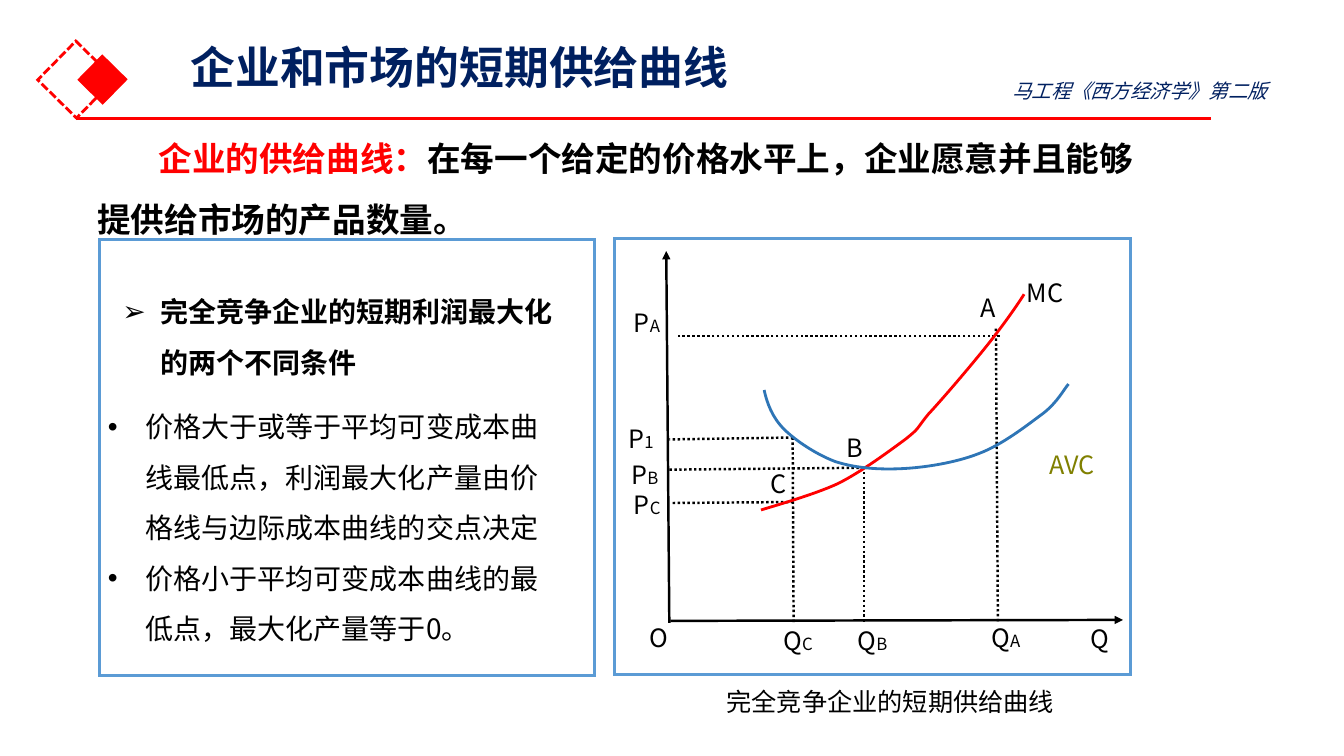
"""Build the slide on short-run supply curves of the firm and the market."""
from dataclasses import dataclass
from typing import Optional

from lxml import etree
from pptx import Presentation
from pptx import slide as s
from pptx import util as u
from pptx.dml import color, line
from pptx.enum import dml, shapes, text
from pptx.oxml import ns
from pptx.shapes import autoshape
from pptx.text import text as t

FONT = "Noto Sans CJK SC"
RED, NAVY, BLACK, OLIVE = "FF0000", "002060", "000000", "808000"
FRAME_BLUE, AVC_BLUE = "5B9BD5", "2E75B6"
Point = tuple[float, float]
Box = tuple[float, float, float, float]


@dataclass
class Words:
    content: str
    size: float = 18
    tint: str = BLACK
    bold: bool = False
    italic: bool = False


@dataclass
class Label:
    left: float
    top: float
    width: float
    height: float
    symbol: str
    subscript: str = ""
    tint: str = BLACK


@dataclass
class Rule:
    start: Point
    end: Point
    tint: str = BLACK
    weight: float = 1.75
    dotted: bool = False
    arrow: bool = False


@dataclass
class Curve:
    tint: str
    knots: list[Point]


@dataclass
class Frame:
    box: Box
    tint: str
    weight: float
    angle: float = 0
    fill: Optional[str] = None
    dashed: bool = False


def rgb(code: str) -> color.RGBColor:
    return color.RGBColor.from_string(code)


def points(values: tuple[float, ...]) -> list[int]:
    return [u.Pt(value) for value in values]


def child(parent: etree._Element, tag: str, **attributes: str) -> None:
    etree.SubElement(parent, ns.qn(tag), attributes)


def write(paragraph: t._Paragraph, *parts: Words) -> None:
    for part in parts:
        run = paragraph.add_run()
        run.text = part.content
        font = run.font
        font.size, font.bold, font.italic = u.Pt(part.size), part.bold, part.italic
        font.color.rgb = rgb(part.tint)
        font.name = FONT
        child(run._r.rPr, "a:ea", typeface=FONT)


def place(holder: autoshape.Shape, box: Box) -> t.TextFrame:
    holder.left, holder.top, holder.width, holder.height = points(box)
    frame = holder.text_frame
    frame.auto_size = text.MSO_AUTO_SIZE.NONE
    frame.word_wrap = True
    return frame


def add_words(page: s.Slide, box: Box, *parts: Words, wrap: bool = False) -> t.TextFrame:
    frame = page.shapes.add_textbox(*points(box)).text_frame
    frame.word_wrap = wrap
    write(frame.paragraphs[0], *parts)
    return frame


def fill_list(holder: autoshape.Shape, box: Box, bullet: str, items: list[Words]) -> None:
    frame = place(holder, box)
    for index, item in enumerate(items):
        paragraph = frame.add_paragraph() if index else frame.paragraphs[0]
        properties = paragraph._p.get_or_add_pPr()
        properties.set("marL", str(u.Pt(27)))
        properties.set("indent", str(u.Pt(-27)))
        child(properties, "a:buFont", typeface="Arial")
        child(properties, "a:buChar", char=bullet)
        paragraph.line_spacing, paragraph.space_before = 1.5, u.Pt(0)
        write(paragraph, item)


def add_label(page: s.Slide, label: Label) -> None:
    parts = [Words(label.symbol, tint=label.tint)]
    if label.subscript:
        parts.append(Words(label.subscript, 12, label.tint))
    box = (label.left, label.top, label.width, label.height)
    add_words(page, box, *parts).vertical_anchor = text.MSO_ANCHOR.MIDDLE


def style_line(stroke: line.LineFormat, tint: str, weight: float) -> None:
    stroke.color.rgb = rgb(tint)
    stroke.width = u.Pt(weight)


def add_rule(page: s.Slide, rule: Rule) -> None:
    connector = page.shapes.add_connector(
        shapes.MSO_CONNECTOR.STRAIGHT, *points(rule.start + rule.end))
    style_line(connector.line, rule.tint, rule.weight)
    if rule.dotted:
        connector.line.dash_style = dml.MSO_LINE.ROUND_DOT
    properties = connector._element.spPr
    if rule.arrow:
        child(properties.find(ns.qn("a:ln")), "a:tailEnd", type="triangle")
    child(properties, "a:effectLst")


def add_frame(page: s.Slide, frame: Frame) -> None:
    shape = page.shapes.add_shape(shapes.MSO_SHAPE.RECTANGLE, *points(frame.box))
    shape.rotation = frame.angle
    shape.shadow.inherit = False
    if frame.fill:
        shape.fill.solid()
        shape.fill.fore_color.rgb = rgb(frame.fill)
    else:
        shape.fill.background()
    style_line(shape.line, frame.tint, frame.weight)
    if frame.dashed:
        shape.line.dash_style = dml.MSO_LINE.SQUARE_DOT
    child(shape._element.spPr.find(ns.qn("a:ln")), "a:miter", lim="800000")


def add_curve(page: s.Slide, curve: Curve) -> None:
    builder = page.shapes.build_freeform(*points(curve.knots[0]))
    builder.add_line_segments([points(knot) for knot in curve.knots[1:]], close=False)
    shape = builder.convert_to_shape()
    segments = list(shape._element.iter(ns.qn("a:lnTo")))
    for first in range(0, len(segments), 3):
        bend = etree.Element(ns.qn("a:cubicBezTo"))
        segments[first].addprevious(bend)
        for segment in segments[first:first + 3]:
            bend.append(segment[0])
            segment.getparent().remove(segment)
    shape.shadow.inherit = False
    shape.fill.background()
    style_line(shape.line, curve.tint, 2)


FRAMES = [
    Frame((35, 37.4, 38.9, 38.9), RED, 2, 314.5, dashed=True),
    Frame((61, 44.6, 24.5, 24.5), RED, 1, 314.5, fill=RED),
    Frame((71.3, 171.2, 353.5, 311.5), FRAME_BLUE, 2.25),
    Frame((439.2, 170.3, 368.6, 311.5), FRAME_BLUE, 2.25),
]
GUIDES = [
    ((711.4, 234.7), (712.8, 445)), ((617, 337), (617, 444.2)),
    ((714.2, 240), (482.4, 240)), ((617, 334.1), (478.1, 335.5)),
    ((566.2, 312.5), (566.9, 445)), ((566.6, 312.5), (478.1, 313.9)),
    ((566.6, 358.6), (479.5, 359.3)),
]
RULES = [
    Rule((54.3, 84.5), (864.7, 84.5), RED, 2.25),
    Rule((478.1, 445), (475.9, 179.3), arrow=True),
    Rule((478.8, 443.5), (802.1, 442.8), arrow=True),
    *(Rule(start, end, dotted=True) for start, end in GUIDES),
]
CURVES = [
    Curve(RED, [
        (543.6, 364.3), (553, 361.4), (581, 353.5), (598.3, 345.6),
        (615.6, 337), (635.8, 321.8), (646.6, 313.9), (657.4, 305.3),
        (653.8, 307.4), (663.1, 295.9), (673.2, 285.1), (693.4, 261.4),
        (704.9, 247), (716.4, 232.6), (726.5, 218.2), (731.5, 210.2)]),
    Curve(AVC_BLUE, [
        (545.8, 278.6), (547.9, 288), (551.5, 298.1), (560.2, 306.7),
        (568.1, 314.6), (583.2, 324.7), (596.9, 329.8), (610.6, 334.1),
        (625.7, 335.5), (643, 334.8), (660.2, 334.1), (682.6, 330.5),
        (699.1, 324), (716.4, 317.5), (734.4, 303.1), (745.2, 295.2),
        (755.3, 287.3), (759.6, 278.6), (763.2, 274.3)]),
]
LABELS = [
    Label(771.8, 444.5, 20.2, 22.3, "Q"), Label(457.2, 443.2, 41.8, 23.8, "O"),
    Label(742.3, 310.7, 66.2, 41.8, "AVC", tint=OLIVE),
    Label(726.5, 190.5, 41.8, 36.7, "MC"),
    Label(445.7, 211.7, 41.8, 36.7, "P", "A"), Label(441.8, 294.5, 41.8, 36.7, "P", "1"),
    Label(443.9, 320.4, 41.8, 36.7, "P", "B"), Label(445.7, 342, 41.8, 36.7, "P", "C"),
    Label(552.6, 442.4, 45.4, 29.5, "Q", "C"), Label(605.5, 442.4, 37.4, 29.5, "Q", "B"),
    Label(701, 440.3, 37.4, 29.5, "Q", "A"), Label(693.4, 205.2, 40.3, 28.8, "A"),
    Label(597.6, 305.3, 43.2, 28.8, "B"), Label(543.6, 330.5, 42.5, 29.5, "C"),
]
CONDITIONS = [Words("完全竞争企业的短期利润最大化的两个不同条件", 20, bold=True)]
CASES = [
    Words("价格大于或等于平均可变成本曲线最低点，利润最大化产量由价格线与边际成本曲线的交点决定", 20),
    Words("价格小于平均可变成本曲线的最低点，最大化产量等于0。", 20),
]


def main() -> None:
    deck = Presentation()
    deck.slide_width, deck.slide_height = points((960, 540))
    page = deck.slides.add_slide(deck.slide_layouts.get_by_name("Two Content"))
    title, conditions, cases = page.placeholders

    heading = place(title, (128.9, 26, 828, 48))
    heading.vertical_anchor = text.MSO_ANCHOR.MIDDLE
    heading.paragraphs[0].alignment = text.PP_ALIGN.LEFT
    heading.paragraphs[0].line_spacing = 0.9
    write(heading.paragraphs[0], Words("企业和市场的短期供给曲线", 32, NAVY, bold=True))
    fill_list(conditions, (80.2, 195.1, 335.5, 101.5), "➢", CONDITIONS)
    fill_list(cases, (69.8, 277.2, 337.7, 189.4), "•", CASES)

    add_words(page, (716, 52.6, 233.3, 24.5),
              Words("马工程《西方经济学》第二版", 14, NAVY, italic=True), wrap=True)
    definition = add_words(
        page, (64.6, 81.4, 765.4, 82.8), Words("企业的供给曲线：", 24, RED, bold=True),
        Words("在每一个给定的价格水平上，企业愿意并且能够提供给市场的产品数量。", 24, bold=True),
        wrap=True)
    definition.margin_left = definition.margin_right = u.Pt(5)
    definition.margin_top = definition.margin_bottom = u.Pt(2.9)
    definition.paragraphs[0].line_spacing = 1.5
    definition.paragraphs[0]._p.get_or_add_pPr().set("indent", str(u.Pt(43.7)))
    add_words(page, (511.9, 486.7, 250.6, 28.8), Words("完全竞争企业的短期供给曲线"))

    for draw, parts in ((add_frame, FRAMES), (add_rule, RULES),
                        (add_curve, CURVES), (add_label, LABELS)):
        for part in parts:
            draw(page, part)
    deck.save("out.pptx")


if __name__ == "__main__":
    main()
